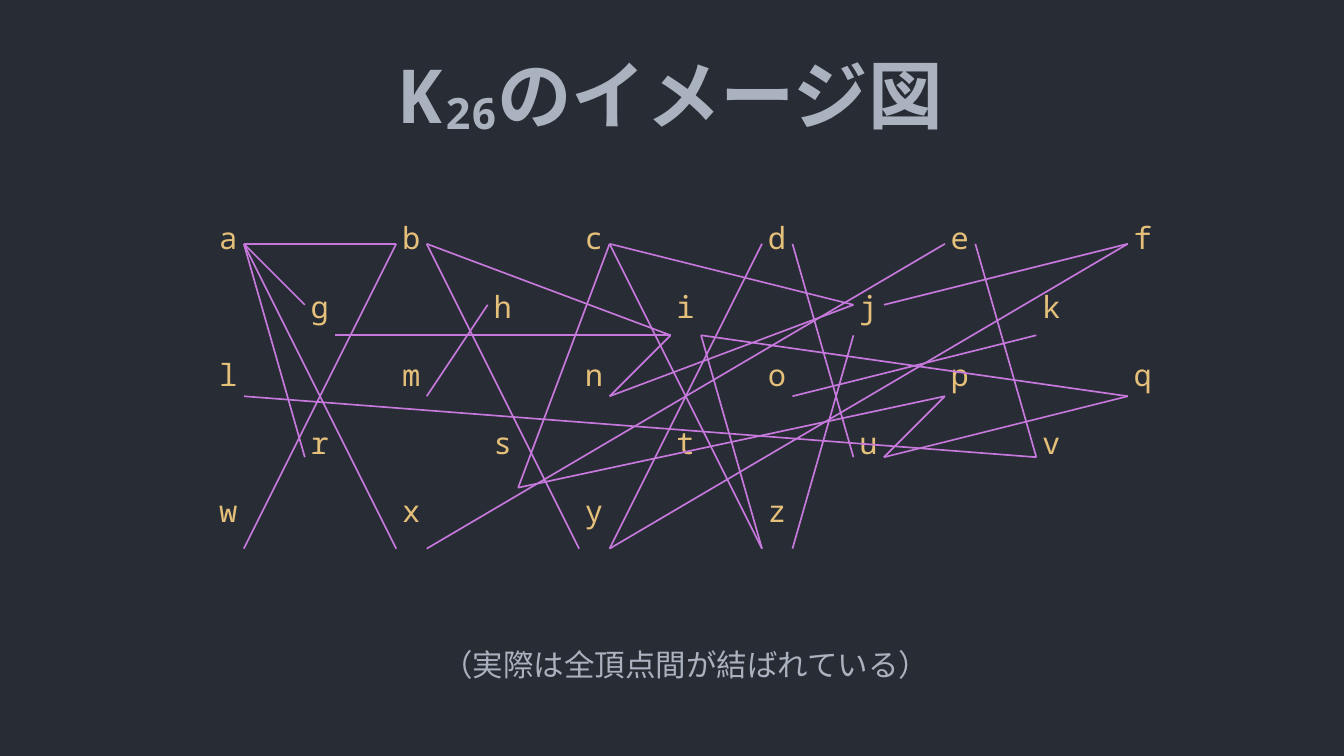
from lxml import etree
from pptx import Presentation
from pptx.dml.color import RGBColor
from pptx.enum.shapes import MSO_CONNECTOR
from pptx.enum.text import MSO_ANCHOR, PP_ALIGN
from pptx.oxml.ns import qn
from pptx.util import Pt

STRAIGHT = MSO_CONNECTOR.STRAIGHT
CENTER = PP_ALIGN.CENTER
TOP, MIDDLE = MSO_ANCHOR.TOP, MSO_ANCHOR.MIDDLE

COLORS = {"background": "282C34", "vertex": "E5C07B", "edge": "C678DD", "text": "ABB2BF"}
MONO, SERIF = "Noto Sans Mono", "Times New Roman"

# Title pieces with their baseline shift in percent
TITLE = [("K", 0), ("26", -8), ("のイメージ図", 0)]
CAPTION = "（実際は全頂点間が結ばれている）"
VERTEX_ROWS = ["abcdef", "ghijk", "lmnopq", "rstuv", "wxyz"]

# Edge ends (x1, y1, x2, y2) in grid units
EDGES = [
    (8, 8, 13, 8), (8, 8, 10, 10), (16, 10, 14, 13), (8, 8, 10, 15),
    (8, 8, 13, 18), (20, 8, 28, 10), (25, 8, 20, 18), (17, 16, 31, 13),
    (17, 16, 20, 8), (28, 10, 20, 13), (20, 13, 22, 11), (22, 11, 14, 8),
    (11, 11, 22, 11), (13, 8, 8, 18), (14, 18, 31, 8), (37, 8, 29, 10),
    (23, 11, 25, 18), (23, 11, 37, 13), (34, 11, 26, 13), (32, 8, 34, 15),
    (29, 15, 37, 13), (28, 11, 26, 18), (8, 13, 34, 15), (20, 18, 37, 8),
    (14, 8, 19, 18), (20, 8, 25, 18), (26, 8, 28, 15), (31, 13, 29, 15),
]
GRID = 18
COLUMN_STEP = 108
ROW_STARTS = (32.4, 86.4)  # first letter of odd and even rows
ROW_GAP = 18.7


def add_text_frame(slide, box, margins, anchor):
    frame = slide.shapes.add_textbox(*map(Pt, box)).text_frame
    side, edge = map(Pt, margins)
    layout = {"word_wrap": True, "vertical_anchor": anchor,
              "margin_left": side, "margin_right": side,
              "margin_top": edge, "margin_bottom": edge}
    for key, value in layout.items():
        setattr(frame, key, value)
    return frame


def add_run(paragraph, text, color, **font_format):
    run = paragraph.add_run()
    run.text = text
    for key, value in font_format.items():
        setattr(run.font, key, value)
    run.font.color.rgb = RGBColor.from_string(COLORS[color])
    return run


def set_tab_stops(paragraph, positions):
    tabs = etree.SubElement(paragraph._p.get_or_add_pPr(), qn("a:tabLst"))
    for position in positions:
        etree.SubElement(tabs, qn("a:tab"), pos=str(Pt(position)), algn="l")


def add_vertices(slide):
    frame = add_text_frame(slide, (90, 126, 648, 234), (7.2, 3.6), TOP)
    for index, letters in enumerate(VERTEX_ROWS):
        row = frame.add_paragraph() if index else frame.paragraphs[0]
        start = ROW_STARTS[index % 2]
        set_tab_stops(row, [start + COLUMN_STEP * column for column in range(len(letters))])
        if index:
            row.space_before = Pt(ROW_GAP)
        add_run(row, "".join("\t" + letter for letter in letters), "vertex",
                name=MONO, size=Pt(18))


def add_edges(slide):
    for ends in EDGES:
        edge = slide.shapes.add_connector(STRAIGHT, *(Pt(GRID * value) for value in ends))
        edge.line.color.rgb = RGBColor.from_string(COLORS["edge"])
        edge.line.width = Pt(1)
        etree.SubElement(edge._element.spPr, qn("a:effectLst"))


def add_caption(slide):
    frame = add_text_frame(slide, (162, 378, 486, 51.12), (7.2, 3.6), TOP)
    caption = frame.paragraphs[0]
    caption.alignment = CENTER
    add_run(caption, CAPTION, "text", name=SERIF, size=Pt(18))


def add_title(slide):
    frame = add_text_frame(slide, (39.6, 18, 714.24, 74.88), (0, 0), MIDDLE)
    title = frame.paragraphs[0]
    title.alignment = CENTER
    for text, shift in TITLE:
        run = add_run(title, text, "text", name=MONO, size=Pt(44), bold=True)
        if shift:
            run.font._element.set("baseline", str(shift * 1000))


def main():
    deck = Presentation()
    deck.slide_width, deck.slide_height = Pt(793.7), Pt(446.46)
    slide = deck.slides.add_slide(deck.slide_layouts[6])
    fill = slide.background.fill
    fill.solid()
    fill.fore_color.rgb = RGBColor.from_string(COLORS["background"])
    for add_part in (add_vertices, add_edges, add_caption, add_title):
        add_part(slide)
    deck.save("out.pptx")


if __name__ == "__main__":
    main()
